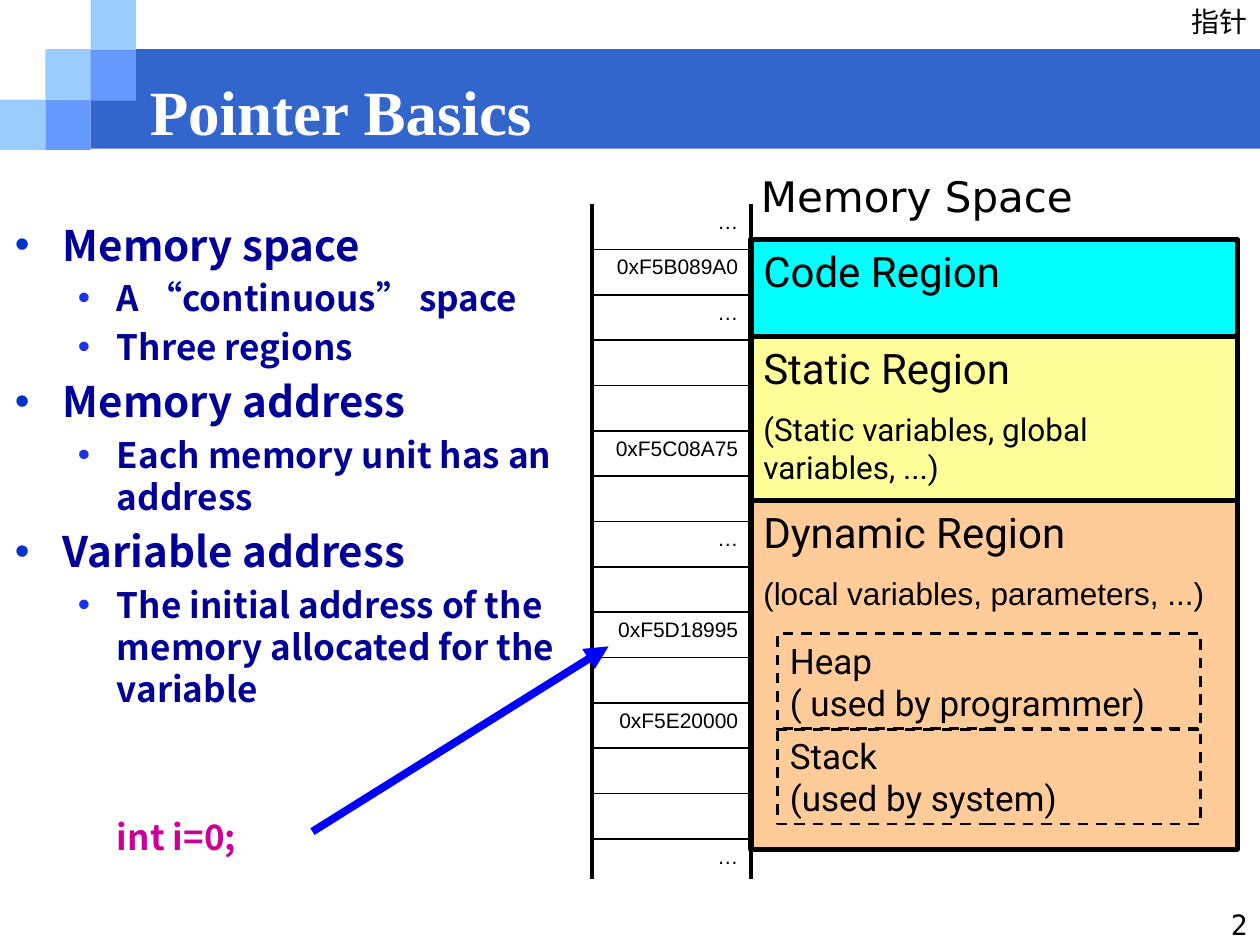
from lxml import etree
from pptx import Presentation
from pptx.dml.color import RGBColor
from pptx.enum.dml import MSO_LINE
from pptx.enum.shapes import MSO_CONNECTOR, MSO_SHAPE
from pptx.enum.text import MSO_ANCHOR, PP_ALIGN
from pptx.oxml import parse_xml
from pptx.oxml.ns import nsdecls, qn
from pptx.util import Inches, Pt


def color(code):
    return RGBColor.from_string(code)


def write(para, text, size, font, code="000000", bold=False, align=PP_ALIGN.LEFT):
    para.text = text
    para.alignment = align
    for span in para.runs:
        span.font.size = Pt(size)
        span.font.name = font
        span.font.bold = bold
        span.font.color.rgb = color(code)
        east_asian = etree.SubElement(span.font._element, qn("a:ea"))
        east_asian.set("typeface", font)


deck = Presentation()
deck.slide_width = Inches(10)
deck.slide_height = Inches(7.5)
page = deck.slides.add_slide(deck.slide_layouts[6])

banner = [
    (0.72, 0.39, 9.28, 0.79, "3366CC"),
    (0, 0.79, 0.36, 0.4, "99CCFF"),
    (0.36, 0.39, 0.36, 0.4, "99CCFF"),
    (0.72, 0, 0.36, 0.4, "99CCFF"),
    (0.72, 0.4, 0.36, 0.4, "6699FF"),
    (0.36, 0.79, 0.36, 0.4, "6699FF"),
]
for left, top, width, height, fill in banner:
    block = page.shapes.add_shape(
        MSO_SHAPE.RECTANGLE, Inches(left), Inches(top), Inches(width), Inches(height))
    block.shadow.inherit = False
    block.fill.solid()
    block.fill.fore_color.rgb = color(fill)
    block.line.fill.background()

labels = [
    ("指针", 9.35, -0.01, 0.65, 0.37, 16, "Noto Sans CJK SC", "000000", False, PP_ALIGN.RIGHT, MSO_ANCHOR.TOP),
    ("Pointer Basics", 1.09, 0.61, 8.08, 0.53, 36, "Times New Roman", "FFFFFF", True, PP_ALIGN.LEFT, MSO_ANCHOR.MIDDLE),
    ("2", 9.43, 7.15, 0.57, 0.35, 16, "DejaVu Sans Mono", "000000", False, PP_ALIGN.RIGHT, MSO_ANCHOR.TOP),
    ("Memory Space", 5.94, 1.22, 3.36, 0.67, 24, "DejaVu Sans", "000000", False, PP_ALIGN.LEFT, MSO_ANCHOR.MIDDLE),
]
for text, left, top, width, height, size, font, code, bold, align, anchor in labels:
    box = page.shapes.add_textbox(Inches(left), Inches(top), Inches(width), Inches(height))
    box.text_frame.word_wrap = text != "指针"
    box.text_frame.vertical_anchor = anchor
    write(box.text_frame.paragraphs[0], text, size, font, code, bold, align)

outline = [
    (0, "Memory space"),
    (1, "A “continuous” space"),
    (1, "Three regions"),
    (0, "Memory address"),
    (1, "Each memory unit has an address"),
    (0, "Variable address"),
    (1, "The initial address of the memory allocated for the variable"),
]
levels = [(24, 0.38, 0.38, "0033CC"), (20, 0.81, 0.31, "1B33E7")]
box = page.shapes.add_textbox(Inches(0.02), Inches(1.69), Inches(4.75), Inches(5.81))
frame = box.text_frame
frame.word_wrap = True
for index, (level, text) in enumerate(outline):
    size, margin, hanging, bullet_color = levels[level]
    para = frame.add_paragraph() if index else frame.paragraphs[0]
    write(para, text, size, "Noto Sans CJK SC", "000099", True)
    para.level = level
    para.line_spacing = Pt(size * 1.2)
    para.space_before = Pt(size * 0.2 if index else 0)
    properties = para._p.get_or_add_pPr()
    properties.set("marL", str(Inches(margin)))
    properties.set("indent", str(-Inches(hanging)))
    properties.append(parse_xml(
        f'<a:buClr {nsdecls("a")}><a:srgbClr val="{bullet_color}"/></a:buClr>'))
    properties.append(parse_xml(f'<a:buFont {nsdecls("a")} typeface="Arial"/>'))
    properties.append(parse_xml(f'<a:buChar {nsdecls("a")} char="•"/>'))

declaration = frame.add_paragraph()
write(declaration, "int i=0;", 20, "Noto Sans CJK SC", "CC0099", True)
declaration.level = 1
declaration.line_spacing = Pt(24)
declaration.space_before = Pt(60.6)
declaration._p.get_or_add_pPr().set("marL", str(Inches(0.81)))

regions = [
    (5.96, 1.9, 3.86, 0.79, "00FFFF", [("Code Region", 24, "Roboto")]),
    (5.96, 2.67, 3.86, 1.3, "FFFF99", [
        ("Static Region", 24, "Roboto"),
        ("(Static variables, global variables, ...)", 18, "Roboto")]),
    (5.96, 3.97, 3.86, 2.77, "FFCC99", [
        ("Dynamic Region", 24, "Roboto"),
        ("(local variables, parameters, ...)", 18, "Arial")]),
    (6.17, 5.03, 3.36, 0.76, None, [
        ("Heap", 20, "Roboto"), ("( used by programmer)", 20, "Roboto")]),
    (6.17, 5.78, 3.36, 0.76, None, [
        ("Stack", 20, "Roboto"), ("(used by system)", 20, "Roboto")]),
]
for left, top, width, height, fill, lines in regions:
    region = page.shapes.add_shape(
        MSO_SHAPE.RECTANGLE, Inches(left), Inches(top), Inches(width), Inches(height))
    region.shadow.inherit = False
    region.line.color.rgb = color("000000")
    if fill:
        region.fill.solid()
        region.fill.fore_color.rgb = color(fill)
        region.line.width = Pt(3)
    else:
        region.fill.background()
        region.line.width = Pt(1.5)
        region.line.dash_style = MSO_LINE.DASH
    frame = region.text_frame
    frame.word_wrap = True
    frame.vertical_anchor = MSO_ANCHOR.TOP
    for index, (text, size, font) in enumerate(lines):
        para = frame.add_paragraph() if index else frame.paragraphs[0]
        write(para, text, size, font)
        if index and fill:
            para.space_before = Pt(10)

addresses = ["…", "0xF5B089A0", "…", "", "", "0xF5C08A75", "", "…", "",
             "0xF5D18995", "", "0xF5E20000", "", "", "…"]
table_frame = page.shapes.add_table(
    len(addresses), 1, Inches(4.7), Inches(1.62), Inches(1.26), Inches(5.36))
memory = table_frame.table
memory.first_row = False
memory.horz_banding = False
last = len(addresses) - 1
for index, address in enumerate(addresses):
    memory.rows[index].height = Inches(0.32 if index == last else 0.36)
    cell = memory.cell(index, 0)
    cell.margin_bottom = Inches(0)
    if address:
        write(cell.text_frame.paragraphs[0], address, 12, "Arial", align=PP_ALIGN.RIGHT)
    borders = [("lnL", 2.25), ("lnR", 2.25),
               ("lnT", 1 if index else 0), ("lnB", 1 if index < last else 0)]
    for side, weight in borders:
        paint = '<a:solidFill><a:srgbClr val="000000"/></a:solidFill>' if weight else "<a:noFill/>"
        cell._tc.get_or_add_tcPr().append(parse_xml(
            f'<a:{side} {nsdecls("a")} w="{Pt(weight)}">{paint}</a:{side}>'))
    cell.fill.background()

arrow = page.shapes.add_connector(
    MSO_CONNECTOR.STRAIGHT, Inches(2.48), Inches(6.6), Inches(4.83), Inches(5.13))
arrow.line.color.rgb = color("0000FF")
arrow.line.width = Pt(4.5)
etree.SubElement(arrow.line._get_or_add_ln(), qn("a:tailEnd")).set("type", "triangle")
etree.SubElement(arrow._element.spPr, qn("a:effectLst"))

deck.save("out.pptx")
